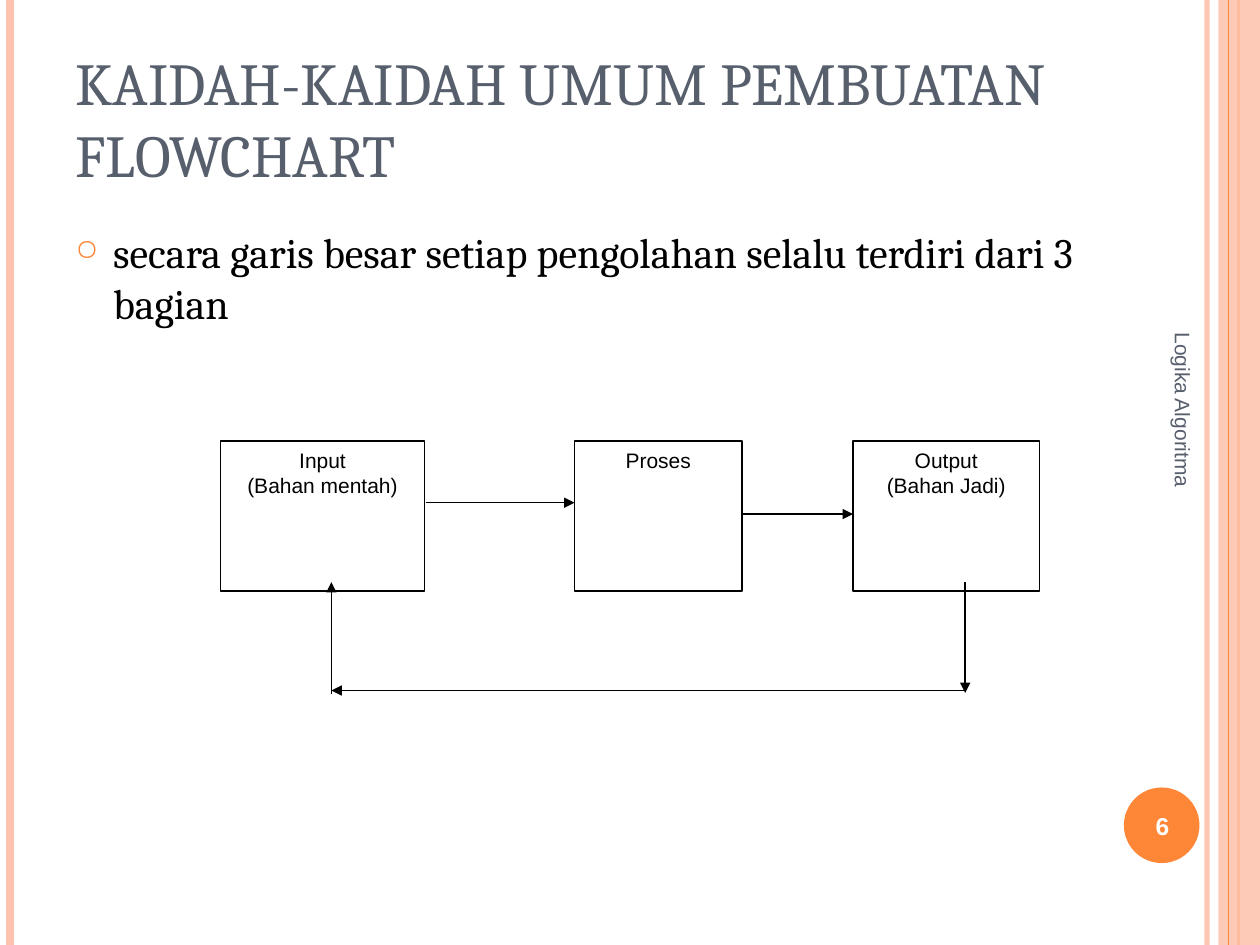
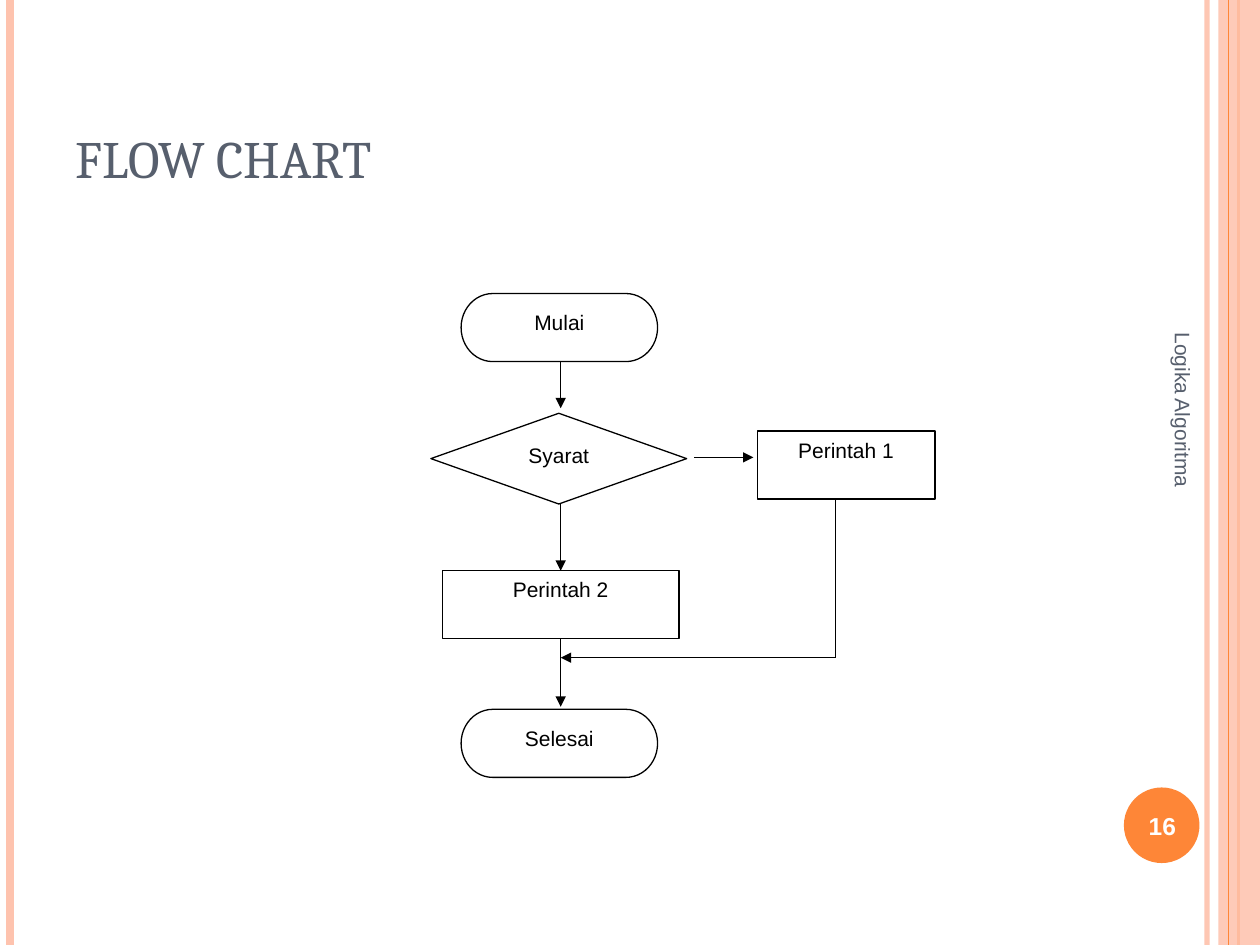
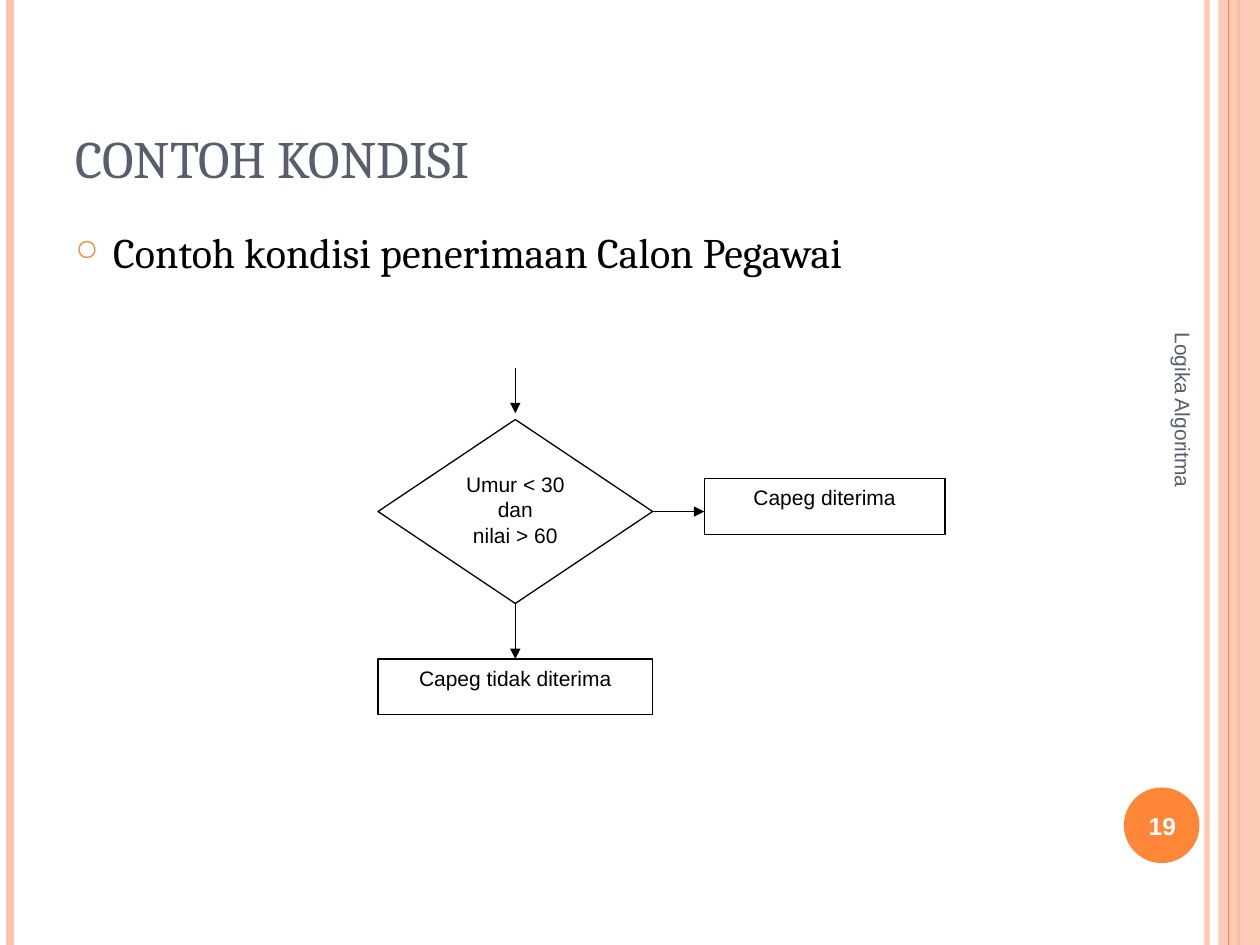
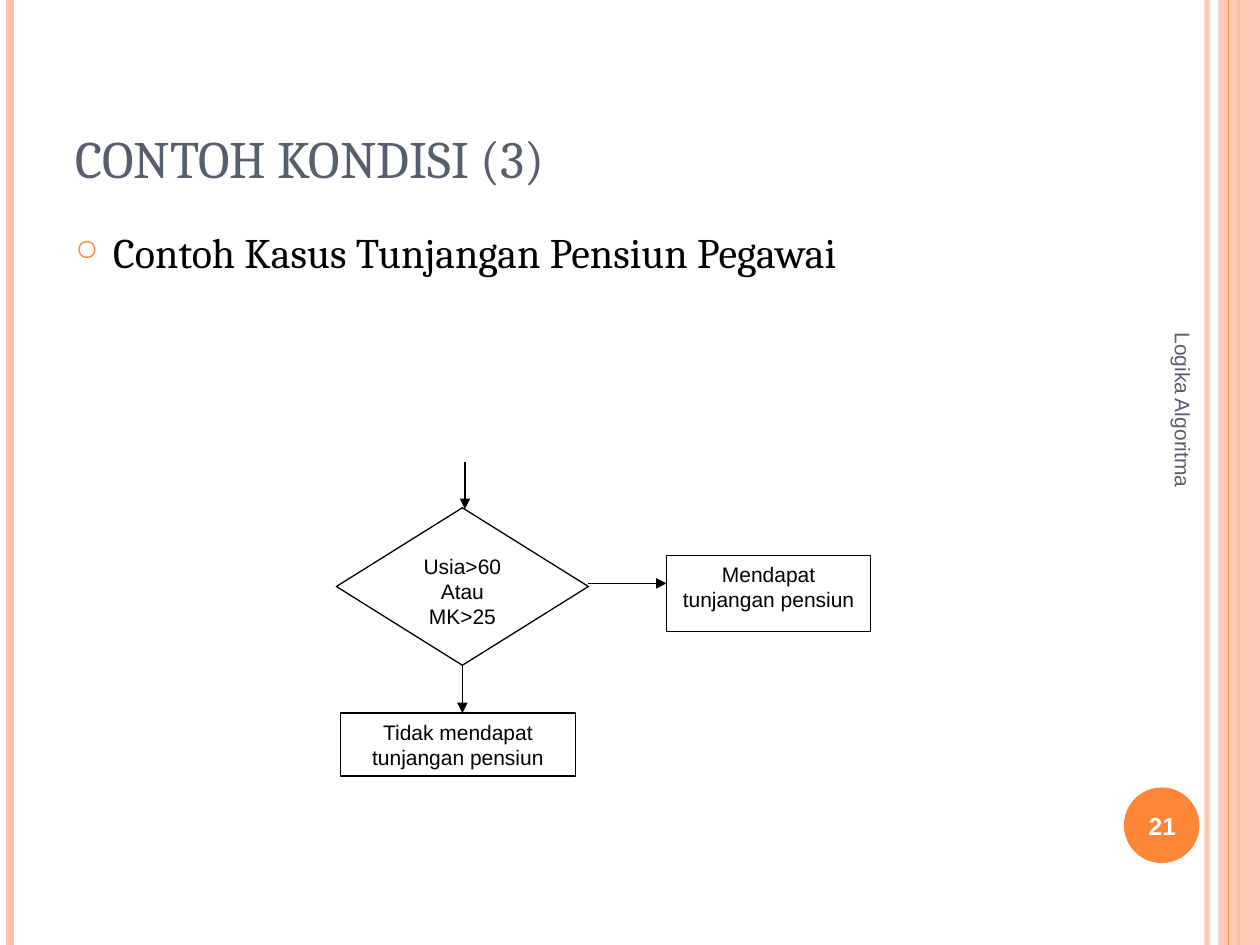
import dataclasses

import pptx
import pptx.dml.color
import pptx.enum.shapes
import pptx.enum.text
import pptx.oxml
import pptx.oxml.ns
import pptx.util
from pptx.util import Inches

SHAPE = pptx.enum.shapes.MSO_SHAPE
ALIGN = pptx.enum.text.PP_ALIGN
ANCHOR = pptx.enum.text.MSO_ANCHOR


@dataclasses.dataclass(frozen=True)
class Theme:
    """Colours, fonts and sizes shared by all slides."""

    accent: str = "FE8637"
    band: str = "FEC3AE"
    heading: str = "575F6D"
    ink: str = "000000"
    paper: str = "FFFFFF"
    serif: str = "Cambria"
    sans: str = "Arial"
    title_size: int = 30
    long_title_size: int = 34
    body_size: int = 24
    label_size: int = 12
    number_size: int = 14
    thin: float = 0.74
    footer: str = "Logika Algoritma"


THEME = Theme()


def rgb(colour):
    """Turn a hex string into a colour."""
    return pptx.dml.color.RGBColor.from_string(colour)


def add_xml(parent, tag, **attributes):
    """Append a drawing element with attributes and return it."""
    element = pptx.oxml.parse_xml(f"<a:{tag} {pptx.oxml.ns.nsdecls('a')}/>")
    for name, value in attributes.items():
        element.set(name, str(value))
    parent.append(element)
    return element


def set_opacity(fill, percent):
    """Make a solid fill partly transparent."""
    colour = fill._xPr.find(".//" + pptx.oxml.ns.qn("a:srgbClr"))
    add_xml(colour, "alpha", val=percent * 1000)


def write_text(shape, text, *, size=THEME.label_size, font=THEME.sans, colour=THEME.ink,
               bold=False, align=ALIGN.LEFT, anchor=ANCHOR.TOP, bullet=False):
    """Write one paragraph per line of text into a shape."""
    frame = shape.text_frame
    frame.word_wrap = True
    frame.vertical_anchor = anchor
    frame.text = text
    for paragraph in frame.paragraphs:
        paragraph.alignment = align
        paragraph.font.size = pptx.util.Pt(size)
        for run in paragraph.runs:
            run.font.size = pptx.util.Pt(size)
            run.font.name = font
            run.font.bold = bold
            run.font.color.rgb = rgb(colour)
        if bullet:
            add_bullet(paragraph)


def add_bullet(paragraph):
    """Give a paragraph the round accent bullet and a hanging indent."""
    paragraph.space_before = pptx.util.Pt(6)
    properties = paragraph._p.get_or_add_pPr()
    properties.set("marL", str(Inches(0.3)))
    properties.set("indent", str(-Inches(0.3)))
    add_xml(add_xml(properties, "buClr"), "srgbClr", val=THEME.accent)
    add_xml(properties, "buSzPct", val=70000)
    add_xml(properties, "buChar", char="○")


def add_text(slide, box, text, rotation=0, **text_format):
    """Add a text box."""
    shape = slide.shapes.add_textbox(*map(Inches, box))
    shape.rotation = rotation
    write_text(shape, text, **text_format)


def add_block(shapes, kind, box, fill, outline=None):
    """Add a filled preset shape, outlined if a colour is given."""
    shape = shapes.add_shape(kind, *map(Inches, box))
    shape.shadow.inherit = False
    shape.fill.solid()
    shape.fill.fore_color.rgb = rgb(fill)
    if outline:
        shape.line.color.rgb = rgb(outline)
        shape.line.width = pptx.util.Pt(THEME.thin)
    else:
        shape.line.fill.background()
    return shape


def add_line(shapes, start, end, colour=THEME.ink, width=THEME.thin, arrow=False):
    """Add a straight line, with an arrowhead at its end if asked."""
    line = shapes.add_connector(pptx.enum.shapes.MSO_CONNECTOR.STRAIGHT,
                                *map(Inches, (*start, *end)))
    line.line.color.rgb = rgb(colour)
    line.line.width = pptx.util.Pt(width)
    if arrow:
        add_xml(line.line._get_or_add_ln(), "tailEnd", type="triangle")
    add_xml(line._element.spPr, "effectLst")
    return line


def add_arrows(shapes, *arrows):
    """Add one arrow for each pair of points."""
    for start, end in arrows:
        add_line(shapes, start, end, arrow=True)


def add_node(shapes, kind, box, text):
    """Add a flowchart symbol with its label."""
    shape = add_block(shapes, kind, box, THEME.paper, THEME.ink)
    write_text(shape, text, align=ALIGN.CENTER)


def add_stripe(slide, x, colour, width):
    """Add a vertical line over the full slide height."""
    return add_line(slide.shapes, (x, 0), (x, 7.5), colour, width)


def add_slide(presentation, number, title, body=None, title_size=THEME.title_size):
    """Add a slide with bands, title, body and footer; return its diagram shapes."""
    slide = presentation.slides.add_slide(presentation.slide_layouts[6])
    set_opacity(add_stripe(slide, 9.58, THEME.band, 3).line.fill, 93)
    add_stripe(slide, 0.08, THEME.band, 4.5)
    add_stripe(slide, 9.83, THEME.accent, 1.5)
    band = add_block(slide.shapes, SHAPE.RECTANGLE, (9.67, 0, 0.33, 7.5), THEME.band)
    set_opacity(band.fill, 87)
    add_stripe(slide, 9.75, THEME.accent, THEME.thin)
    add_block(slide.shapes, SHAPE.OVAL, (8.92, 6.25, 0.6, 0.6), THEME.accent)

    add_text(slide, (0.5, 0.3, 8.17, 1.25), title, size=title_size, font=THEME.serif,
             colour=THEME.heading, anchor=ANCHOR.BOTTOM)
    if body:
        add_text(slide, (0.5, 1.75, 8.17, 5.33), body, size=THEME.body_size,
                 font=THEME.serif, bullet=True)
    diagram = slide.shapes.add_group_shape().shapes
    add_text(slide, (7.64, 4.09, 3.5, 0.4), THEME.footer, rotation=90,
             colour=THEME.heading, anchor=ANCHOR.MIDDLE)
    add_text(slide, (8.89, 6.27, 0.67, 0.57), str(number), size=THEME.number_size,
             colour=THEME.paper, bold=True, align=ALIGN.CENTER, anchor=ANCHOR.MIDDLE)
    return diagram


def add_process_slide(presentation):
    """Show input, process and output with a feedback loop."""
    diagram = add_slide(presentation, 6, "KAIDAH-KAIDAH UMUM PEMBUATAN FLOWCHART",
                        "secara garis besar setiap pengolahan selalu terdiri dari 3 bagian",
                        THEME.long_title_size)
    for left, width, text in ((1.75, 1.62, "Input\n(Bahan mentah)"),
                              (4.56, 1.33, "Proses"),
                              (6.77, 1.48, "Output\n(Bahan Jadi)")):
        add_node(diagram, SHAPE.RECTANGLE, (left, 3.5, width, 1.19), text)
    back_x, out_x, loop_y = 2.63, 7.66, 5.48
    add_arrows(diagram,
               ((3.38, 3.99), (4.56, 3.99)),
               ((5.89, 4.08), (6.77, 4.08)),
               ((out_x, 4.62), (out_x, 5.5)),
               ((out_x, loop_y), (back_x, loop_y)),
               ((back_x, 5.51), (back_x, 4.62)))


def add_branch_slide(presentation):
    """Show a complete flowchart with one branch."""
    diagram = add_slide(presentation, 16, "FLOW CHART")
    axis, branch_x, join_y, height = 4.45, 6.63, 5.22, 0.54
    for kind, left, top, width, text in (
            (SHAPE.FLOWCHART_TERMINATOR, 3.66, 2.33, 1.56, "Mulai"),
            (SHAPE.FLOWCHART_PROCESS, 6.01, 3.42, 1.41, "Perintah 1"),
            (SHAPE.FLOWCHART_PROCESS, 3.51, 4.53, 1.88, "Perintah 2"),
            (SHAPE.FLOWCHART_TERMINATOR, 3.66, 5.63, 1.56, "Selesai")):
        add_node(diagram, kind, (left, top, width, height), text)
    add_node(diagram, SHAPE.FLOWCHART_DECISION, (3.42, 3.28, 2.03, 0.72), "Syarat")
    add_line(diagram, (branch_x, 3.96), (branch_x, join_y))
    add_arrows(diagram,
               ((axis, 2.87), (axis, 3.24)),
               ((axis, 3.99), (axis, 4.53)),
               ((5.51, 3.63), (5.98, 3.63)),
               ((axis, 5.07), (axis, 5.61)),
               ((branch_x, join_y), (axis, join_y)))


def add_condition_slide(presentation, number, title, body, decision, accepted, rejected, arrows):
    """Show a decision with its two outcomes, each given as box and text."""
    diagram = add_slide(presentation, number, title, body)
    add_node(diagram, SHAPE.FLOWCHART_DECISION, *decision)
    add_node(diagram, SHAPE.FLOWCHART_PROCESS, *accepted)
    add_node(diagram, SHAPE.FLOWCHART_PROCESS, *rejected)
    add_arrows(diagram, *arrows)


def main():
    """Build and save the presentation."""
    presentation = pptx.Presentation()
    presentation.slide_width = Inches(10)
    presentation.slide_height = Inches(7.5)
    add_process_slide(presentation)
    add_branch_slide(presentation)
    add_condition_slide(
        presentation, 19, "CONTOH KONDISI", "Contoh kondisi penerimaan Calon Pegawai",
        decision=((3, 3.33, 2.18, 1.46), "Umur < 30 dan\nnilai > 60"),
        accepted=((5.59, 3.8, 1.91, 0.44), "Capeg diterima"),
        rejected=((3, 5.23, 2.18, 0.44), "Capeg tidak diterima"),
        arrows=(((4.09, 2.92), (4.09, 3.28)),
                ((4.09, 4.79), (4.09, 5.23)),
                ((5.18, 4.06), (5.59, 4.06))))
    add_condition_slide(
        presentation, 21, "CONTOH KONDISI (3)", "Contoh Kasus Tunjangan Pensiun Pegawai",
        decision=((2.67, 4.03, 2, 1.25), "Usia>60\nAtau\nMK>25"),
        accepted=((5.29, 4.41, 1.62, 0.6), "Mendapat tunjangan pensiun"),
        rejected=((2.7, 5.66, 1.87, 0.5), "Tidak mendapat tunjangan pensiun"),
        arrows=(((3.69, 3.67), (3.69, 4.04)),
                ((3.67, 5.28), (3.67, 5.66)),
                ((4.67, 4.63), (5.29, 4.63))))
    presentation.save("out.pptx")


main()
